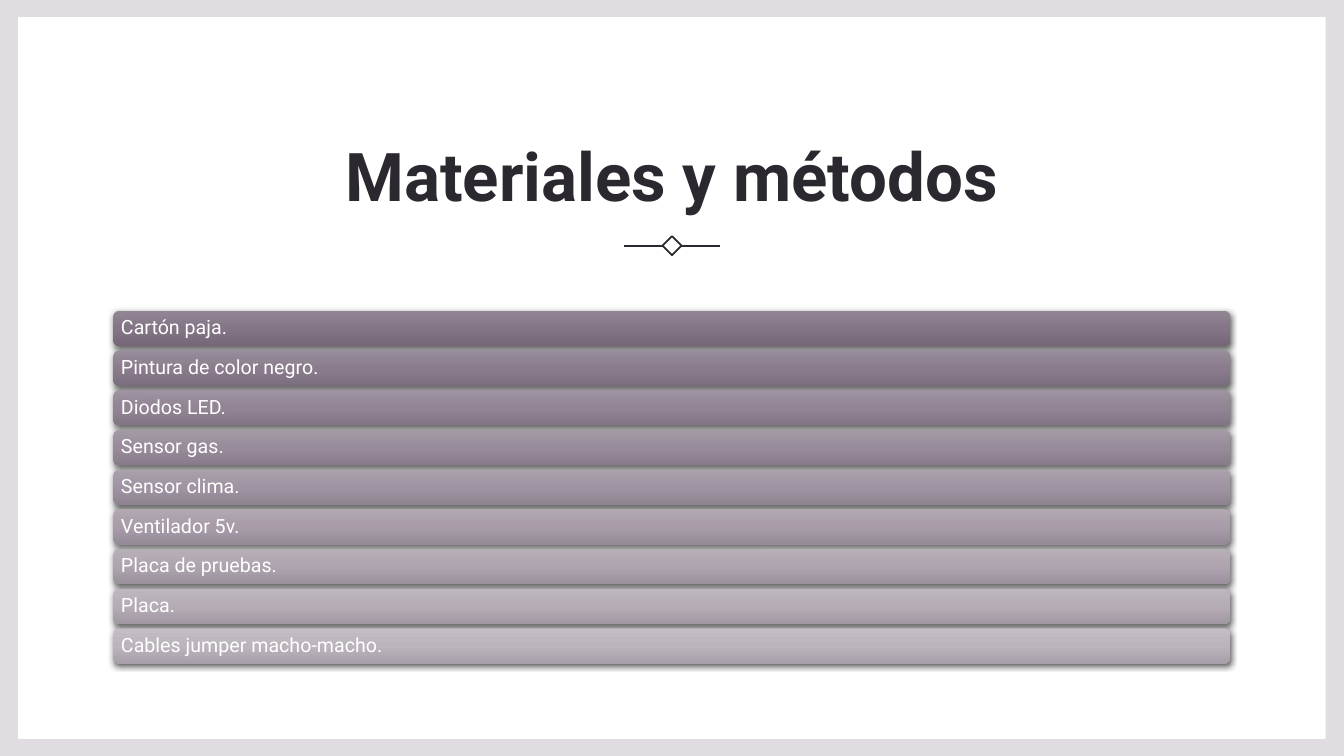
from copy import deepcopy

from lxml.etree import SubElement
from pptx import Presentation
from pptx.dml.color import RGBColor
from pptx.enum.shapes import MSO_CONNECTOR, MSO_SHAPE
from pptx.enum.text import MSO_ANCHOR, MSO_AUTO_SIZE, PP_ALIGN
from pptx.oxml.ns import qn
from pptx.util import Pt

TITLE = "Materiales y métodos"
MATERIALS = [
    "Cartón paja.",
    "Pintura de color negro.",
    "Diodos LED.",
    "Sensor gas.",
    "Sensor clima.",
    "Ventilador 5v.",
    "Placa de pruebas.",
    "Placa.",
    "Cables jumper macho-macho.",
]
FONT = "Roboto"
INK, WHITE, FRAME = "2C2830", "FFFFFF", "E0DCE1"
# Gradient stops (top, middle, bottom) of the first and the last bar
FIRST_BAR = ("918593", "837486", "756778")
LAST_BAR = ("C4BDC5", "BCB4BD", "A79FA9")

WIDTH, HEIGHT = 960, 540
MARGIN_X, MARGIN_Y = 13, 12.25
BAR_LEFT, BAR_TOP, BAR_WIDTH, BAR_HEIGHT, BAR_PITCH = 81, 222, 797.75, 25.2, 28.35
ORNAMENT_X, ORNAMENT_Y, ORNAMENT_SIDE = 480, 175.5, 9.6
LINE_INNER, LINE_OUTER = 6.75, 34.25


def color(hex_string):
    return RGBColor.from_string(hex_string)


def blend(start, end, share):
    """Return the hex colour lying at the given share between two others."""
    pairs = zip(color(start), color(end))
    return "".join(f"{round(a + (b - a) * share):02X}" for a, b in pairs)


def add_box(slide, kind, left, top, width, height):
    """Add a preset shape without line or shadow."""
    shape = slide.shapes.add_shape(kind, Pt(left), Pt(top), Pt(width), Pt(height))
    shape.shadow.inherit = False
    shape.line.fill.background()
    return shape


def write(shape, text, size, ink, bold, alignment, spacing):
    paragraph = shape.text_frame.paragraphs[0]
    paragraph.alignment = alignment
    paragraph.line_spacing = spacing
    run = paragraph.add_run()
    run.text = text
    run.font.name = FONT
    run.font.size = Pt(size)
    run.font.bold = bold
    run.font.color.rgb = color(ink)


def fill_gradient(shape, hex_stops):
    """Fill from top to bottom with three evenly spaced colours."""
    shape.fill.gradient()
    shape.fill.gradient_angle = 270
    stop_list = shape.element.spPr.find(".//" + qn("a:gsLst"))
    stop_list.insert(1, deepcopy(stop_list[0]))
    for index, (stop, hex_stop) in enumerate(zip(shape.fill.gradient_stops, hex_stops)):
        stop.position = index / 2
        stop.color.rgb = color(hex_stop)


def add_shadow(shape):
    effects = shape.element.spPr.find(qn("a:effectLst"))
    shadow = SubElement(effects, qn("a:outerShdw"), blurRad=str(Pt(4.5)),
                        dist=str(Pt(1.5)), dir="5400000", rotWithShape="0")
    black = SubElement(shadow, qn("a:srgbClr"), val="000000")
    SubElement(black, qn("a:alpha"), val="63000")


def add_title(slide):
    title = slide.shapes.title
    title.left, title.top, title.width, title.height = Pt(81), Pt(76), Pt(798), Pt(81.5)
    title.text_frame.auto_size = MSO_AUTO_SIZE.NONE
    title.text_frame.vertical_anchor = MSO_ANCHOR.BOTTOM
    write(title, TITLE, 48, INK, True, PP_ALIGN.CENTER, 1.1)


def add_panel(slide):
    panel = add_box(slide, MSO_SHAPE.RECTANGLE, MARGIN_X, MARGIN_Y,
                    WIDTH - 2 * MARGIN_X, HEIGHT - 2 * MARGIN_Y)
    panel.fill.solid()
    panel.fill.fore_color.rgb = color(WHITE)
    slide.shapes.title.element.addprevious(panel.element)


def add_ornament(slide):
    half = ORNAMENT_SIDE / 2
    diamond = add_box(slide, MSO_SHAPE.RECTANGLE, ORNAMENT_X - half, ORNAMENT_Y - half,
                      ORNAMENT_SIDE, ORNAMENT_SIDE)
    diamond.rotation = 45
    diamond.fill.background()
    strokes = [diamond]
    for side in (1, -1):
        connector = slide.shapes.add_connector(
            MSO_CONNECTOR.STRAIGHT,
            Pt(ORNAMENT_X + side * LINE_INNER), Pt(ORNAMENT_Y),
            Pt(ORNAMENT_X + side * LINE_OUTER), Pt(ORNAMENT_Y))
        SubElement(connector.element.spPr, qn("a:effectLst"))
        strokes.append(connector)
    for stroke in strokes:
        stroke.line.color.rgb = color(INK)
        stroke.line.width = Pt(1.25)


def add_bar(slide, index, text):
    bar = add_box(slide, MSO_SHAPE.ROUNDED_RECTANGLE, BAR_LEFT,
                  BAR_TOP + index * BAR_PITCH, BAR_WIDTH, BAR_HEIGHT)
    share = index / (len(MATERIALS) - 1)
    fill_gradient(bar, [blend(a, b, share) for a, b in zip(FIRST_BAR, LAST_BAR)])
    add_shadow(bar)
    frame = bar.text_frame
    frame.word_wrap = True
    frame.vertical_anchor = MSO_ANCHOR.MIDDLE
    frame.margin_left = frame.margin_right = frame.margin_top = frame.margin_bottom = Pt(4.2)
    write(bar, text, 14, WHITE, False, PP_ALIGN.LEFT, 0.9)


def main():
    presentation = Presentation()
    presentation.slide_width, presentation.slide_height = Pt(WIDTH), Pt(HEIGHT)
    slide = presentation.slides.add_slide(presentation.slide_layouts[5])
    slide.background.fill.solid()
    slide.background.fill.fore_color.rgb = color(FRAME)
    add_title(slide)
    add_panel(slide)
    add_ornament(slide)
    for index, text in enumerate(MATERIALS):
        add_bar(slide, index, text)
    presentation.save("out.pptx")


if __name__ == "__main__":
    main()
